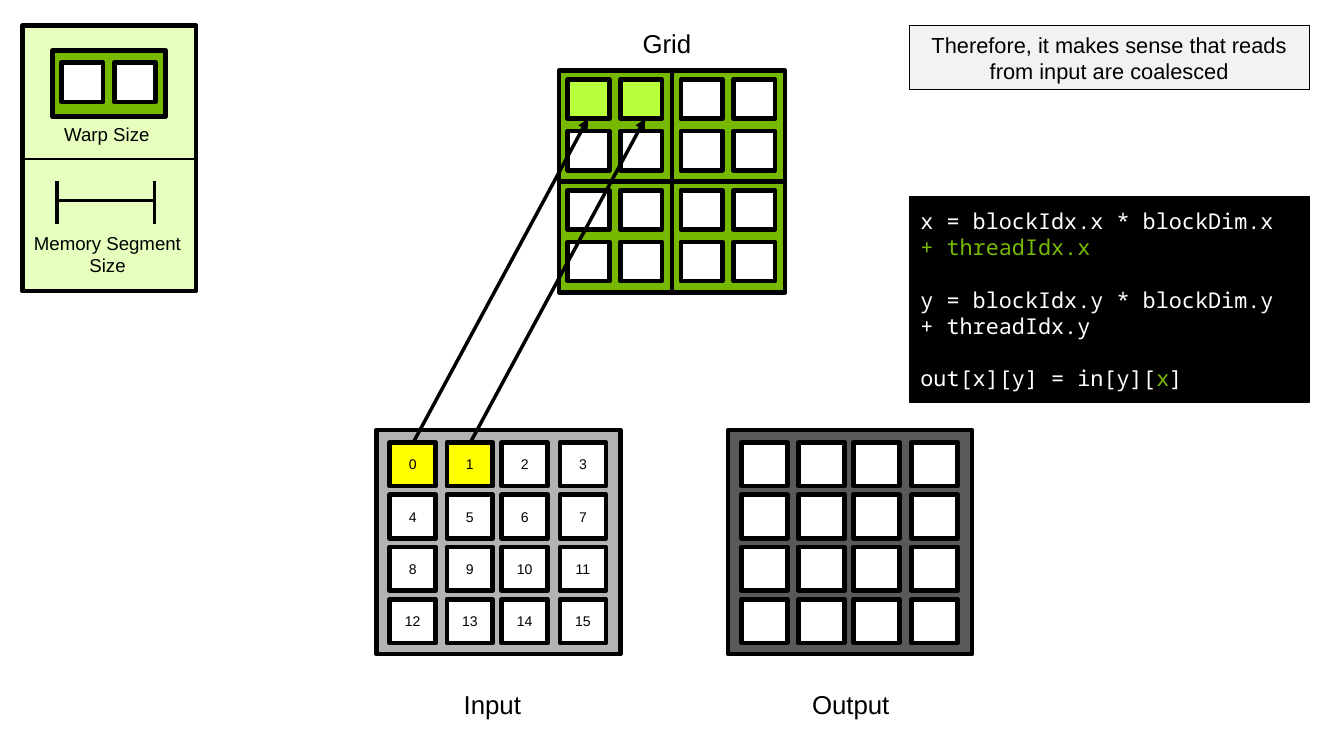
from dataclasses import dataclass
from itertools import product

from lxml.etree import SubElement
from pptx import Presentation
from pptx.dml.color import RGBColor
from pptx.enum.shapes import MSO_CONNECTOR, MSO_SHAPE
from pptx.enum.text import MSO_ANCHOR as Anchor, PP_ALIGN as Align
from pptx.oxml.ns import qn
from pptx.util import Inches, Pt


@dataclass(frozen=True)
class Theme:
    black: str = "000000"
    white: str = "FFFFFF"
    block: str = "76B900"
    active_thread: str = "B8FF3C"
    read_cell: str = "FFFF00"
    input_array: str = "B3B3B3"
    output_array: str = "595959"
    legend: str = "E7FFBE"
    note: str = "F2F2F2"
    font: str = "Arial"
    code_font: str = "Noto Sans Mono"
    title_size: float = 16.6
    body_size: float = 14
    legend_size: float = 12
    cell_size: float = 9
    code_leading: float = 16.8
    thick: float = 3
    medium: float = 2.25
    divider: float = 1.5
    thin: float = 0.75


THEME = Theme()
THREAD_SIZE = (0.37, 0.35)
THREAD_PITCH = 0.47
BLOCK_SIZE = (1.01, 0.99)
CELL_SIZE = (0.41, 0.39)
CELL_COLUMNS = (0.12, 0.63, 1.12, 1.64)
CELL_ROW_PITCH = 0.467
INPUT_ORIGIN = (3.36, 3.84)
OUTPUT_ORIGIN = (6.5, 3.84)


def rgb(color):
    return RGBColor.from_string(color)


def style_font(font, size, color=THEME.black, name=THEME.font):
    font.size = Pt(size)
    font.name = name
    font.color.rgb = rgb(color)


def add_box(slide, left, top, width, height, fill, line_width=THEME.thick):
    shape = slide.shapes.add_shape(
        MSO_SHAPE.RECTANGLE, Inches(left), Inches(top), Inches(width), Inches(height))
    shape.shadow.inherit = False
    shape.fill.solid()
    shape.fill.fore_color.rgb = rgb(fill)
    shape.line.color.rgb = rgb(THEME.black)
    shape.line.width = Pt(line_width)
    return shape


def write_centered(shape, text, size):
    paragraph = shape.text_frame.paragraphs[0]
    paragraph.text = text
    paragraph.alignment = Align.CENTER
    style_font(paragraph.font, size)


def add_label(slide, left, top, width, height, text, size, wrap=False):
    label = slide.shapes.add_textbox(
        Inches(left), Inches(top), Inches(width), Inches(height))
    label.text_frame.word_wrap = wrap
    write_centered(label, text, size)


def add_line(slide, start, end, width, arrow=False):
    line = slide.shapes.add_connector(
        MSO_CONNECTOR.STRAIGHT, *(Inches(value) for value in (*start, *end)))
    line.line.color.rgb = rgb(THEME.black)
    line.line.width = Pt(width)
    if arrow:
        SubElement(line.line._get_or_add_ln(), qn("a:tailEnd"), type="triangle")
    SubElement(line._element.spPr, qn("a:effectLst"))


def add_grid(slide, left, top):
    """Draw two by two blocks of two by two threads; the first warp is active."""
    width, height = BLOCK_SIZE
    for block_row, block_column in product(range(2), repeat=2):
        x = left + block_column * width
        y = top + block_row * height
        add_box(slide, x, y, width, height, THEME.block)
        for row, column in product(range(2), repeat=2):
            active = block_row == block_column == row == 0
            add_box(slide, x + 0.08 + column * THREAD_PITCH, y + 0.08 + row * 0.46,
                    *THREAD_SIZE, THEME.active_thread if active else THEME.white)


def add_array(slide, origin, fill, numbered=False, read_count=0):
    left, top = origin
    add_box(slide, left, top, 2.18, 2, fill)
    for index, (row, x) in enumerate(product(range(4), CELL_COLUMNS)):
        color = THEME.read_cell if index < read_count else THEME.white
        cell = add_box(slide, left + x, top + 0.11 + row * CELL_ROW_PITCH,
                       *CELL_SIZE, color)
        if numbered:
            frame = cell.text_frame
            frame.margin_left = frame.margin_right = 0
            frame.vertical_anchor = Anchor.MIDDLE
            write_centered(cell, str(index), THEME.cell_size)


def add_legend(slide):
    add_box(slide, 0.2, 0.23, 1.55, 2.37, THEME.legend)
    add_box(slide, 0.47, 0.45, 1.01, 0.59, THEME.block)
    for column in range(2):
        add_box(slide, 0.55 + column * THREAD_PITCH, 0.56, *THREAD_SIZE, THEME.white)
    add_label(slide, 0.45, 1.05, 1.01, 0.3, "Warp Size", THEME.legend_size)
    add_line(slide, (0.2, 1.42), (1.76, 1.42), THEME.divider)
    add_line(slide, (0.51, 1.79), (1.38, 1.79), THEME.medium)
    for x in (0.51, 1.38):
        add_line(slide, (x, 1.62), (x, 2), THEME.medium)
    add_label(slide, 0.2, 2.02, 1.52, 0.5, "Memory Segment Size",
              THEME.legend_size, wrap=True)


def add_note(slide, text):
    note = add_box(slide, 8.12, 0.23, 3.57, 0.57, THEME.note, THEME.thin)
    note.text_frame.vertical_anchor = Anchor.MIDDLE
    write_centered(note, text, THEME.body_size)


def add_code(slide, statements):
    """Write statements of (text, color) runs; a line break in a run is kept."""
    panel = add_box(slide, 8.12, 1.76, 3.57, 1.83, THEME.black, THEME.thin)
    frame = panel.text_frame
    frame.word_wrap = True
    frame.vertical_anchor = Anchor.MIDDLE
    for index, runs in enumerate(statements):
        paragraph = frame.add_paragraph() if index else frame.paragraphs[0]
        paragraph.alignment = Align.LEFT
        paragraph.line_spacing = Pt(THEME.code_leading)
        paragraph.space_before = Pt(THEME.code_leading if index else 0)
        for text, color in runs:
            for line_number, line in enumerate(text.split("\n")):
                if line_number:
                    paragraph.add_line_break()
                if line:
                    run = paragraph.add_run()
                    run.text = line
                    style_font(run.font, THEME.body_size, color, THEME.code_font)


def main():
    presentation = Presentation()
    presentation.slide_width = Inches(12)
    presentation.slide_height = Inches(6.75)
    slide = presentation.slides.add_slide(presentation.slide_layouts[6])

    add_grid(slide, 4.99, 0.63)
    add_note(slide, "Therefore, it makes sense that reads from input are coalesced")
    add_array(slide, INPUT_ORIGIN, THEME.input_array, numbered=True, read_count=2)
    add_legend(slide)
    add_array(slide, OUTPUT_ORIGIN, THEME.output_array)
    for left, top, width, text in ((5.6, 0.2, 0.71, "Grid"),
                                   (4.0, 6.1, 0.79, "Input"),
                                   (7.12, 6.1, 0.95, "Output")):
        add_label(slide, left, top, width, 0.38, text, THEME.title_size)
    add_code(slide, (
        (("x = blockIdx.x * blockDim.x\n", THEME.white), ("+ threadIdx.x", THEME.block)),
        (("y = blockIdx.y * blockDim.y\n+ threadIdx.y", THEME.white),),
        (("out[x][y] = in[y][", THEME.white), ("x", THEME.block), ("]", THEME.white)),
    ))
    for cell_x, thread_x in ((3.69, 5.25), (4.2, 5.76)):
        add_line(slide, (cell_x, 3.95), (thread_x, 1.06), THEME.medium, arrow=True)

    presentation.save("out.pptx")


if __name__ == "__main__":
    main()
